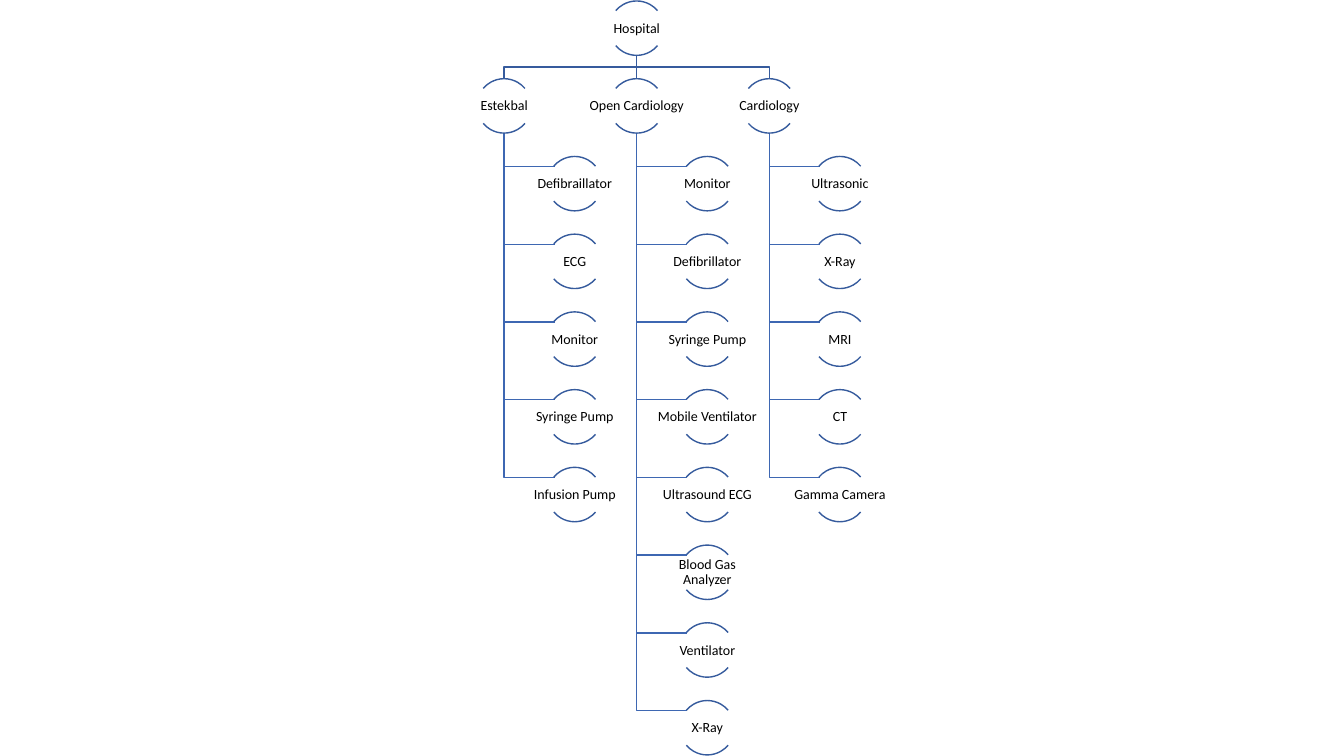
from pptx import Presentation
from pptx.dml.color import RGBColor
from pptx.enum.shapes import MSO_CONNECTOR, MSO_SHAPE
from pptx.enum.text import MSO_ANCHOR, PP_ALIGN
from pptx.oxml import parse_xml
from pptx.oxml.ns import nsdecls
from pptx.util import Inches, Pt

ARC = MSO_SHAPE.ARC
STRAIGHT = MSO_CONNECTOR.STRAIGHT
CENTER = PP_ALIGN.CENTER
MIDDLE = MSO_ANCHOR.MIDDLE

ROOT = "Hospital"
DEPARTMENTS = {
    "Estekbal": ["Defibraillator", "ECG", "Monitor", "Syringe Pump", "Infusion Pump"],
    "Open Cardiology": [
        "Monitor", "Defibrillator", "Syringe Pump", "Mobile Ventilator",
        "Ultrasound ECG", "Blood Gas Analyzer", "Ventilator", "X-Ray",
    ],
    "Cardiology": ["Ultrasonic", "X-Ray", "MRI", "CT", "Gamma Camera"],
}
COLORS = {"arc": "365B9D", "root_link": "365B9D", "item_link": "3E67B2", "text": "000000"}
FONT = "Calibri"

# Lengths in inches
FIRST_TOP, LAST_TOP, ROW_STEPS = 0.01, 6.95, 9
FIRST_COLUMN, LAST_COLUMN = 5, 7.63
CIRCLE = 0.54
LABEL_WIDTH, LABEL_HEIGHT, LABEL_DROP = 1.09, 0.35, 0.1
ITEM_SHIFT, ITEM_LINK = 0.7, 0.5
INSET = 0.01
ARC_DEGREES = [(220, 320), (40, 140)]
ADJUSTMENT_PER_DEGREE = 0.6


def row_top(row):
    """Return the top of a node in the given row."""
    return FIRST_TOP + row * (LAST_TOP - FIRST_TOP) / ROW_STEPS


def column_x(index):
    """Return the centre line of a department column."""
    return FIRST_COLUMN + index * (LAST_COLUMN - FIRST_COLUMN) / (len(DEPARTMENTS) - 1)


def style_line(shape, color):
    """Give a shape or connector a one point line."""
    shape.line.color.rgb = RGBColor.from_string(color)
    shape.line.width = Pt(1)


def add_link(slide, points, color):
    """Draw an open link through the points, straight or bent."""
    points = [(Inches(x), Inches(y)) for x, y in points]
    if len({x for x, _ in points}) == 1:
        link = slide.shapes.add_connector(STRAIGHT, *points[0], *points[-1])
        link._element.spPr.append(parse_xml(f"<a:effectLst {nsdecls('a')}/>"))
    else:
        builder = slide.shapes.build_freeform(*points[0])
        builder.add_line_segments(points[1:], close=False)
        link = builder.convert_to_shape()
        link.shadow.inherit = False
        link.fill.background()
    style_line(link, color)


def add_text(slide, text, left, top, width, height, size=10, color=COLORS["text"]):
    """Add a centred label in a text box."""
    box = slide.shapes.add_textbox(Inches(left), Inches(top), Inches(width), Inches(height))
    frame = box.text_frame
    frame.word_wrap = True
    frame.vertical_anchor = MIDDLE
    frame.margin_left = frame.margin_right = Inches(INSET)
    frame.margin_top = frame.margin_bottom = Inches(INSET)
    paragraph = frame.paragraphs[0]
    paragraph.alignment = CENTER
    paragraph.line_spacing = 0.9
    run = paragraph.add_run()
    run.text = text
    run.font.name = FONT
    run.font.size = Pt(size)
    run.font.color.rgb = RGBColor.from_string(color)


def add_node(slide, text, center, row):
    """Draw a label between an upper and a lower arc."""
    top = row_top(row)
    for degrees in ARC_DEGREES:
        arc = slide.shapes.add_shape(
            ARC, Inches(center - CIRCLE / 2), Inches(top), Inches(CIRCLE), Inches(CIRCLE))
        for index, angle in enumerate(degrees):
            arc.adjustments[index] = angle * ADJUSTMENT_PER_DEGREE
        arc.shadow.inherit = False
        arc.fill.background()
        style_line(arc, COLORS["arc"])
    add_text(slide, text, center - LABEL_WIDTH / 2, top + LABEL_DROP, LABEL_WIDTH, LABEL_HEIGHT)


def add_links(slide, root_x):
    """Link the root to its departments and these to their items."""
    root_bottom = row_top(0) + CIRCLE
    department_top = row_top(1)
    branch_y = (root_bottom + department_top) / 2
    for index, items in enumerate(DEPARTMENTS.values()):
        x = column_x(index)
        for row in range(len(items) + 1, 1, -1):
            y = row_top(row) + LABEL_DROP
            add_link(slide, [(x, department_top + CIRCLE), (x, y), (x + ITEM_LINK, y)],
                     COLORS["item_link"])
        add_link(slide, [(root_x, root_bottom), (root_x, branch_y),
                         (x, branch_y), (x, department_top)], COLORS["root_link"])


def add_nodes(slide, root_x):
    """Draw the root, the departments and their items."""
    add_node(slide, ROOT, root_x, 0)
    for index, (department, items) in enumerate(DEPARTMENTS.items()):
        x = column_x(index)
        add_node(slide, department, x, 1)
        for row, item in enumerate(items, start=2):
            add_node(slide, item, x + ITEM_SHIFT, row)


presentation = Presentation()
presentation.slide_width = Inches(13.33)
presentation.slide_height = Inches(7.5)
slide = presentation.slides.add_slide(presentation.slide_layouts[6])
hospital_x = (FIRST_COLUMN + LAST_COLUMN) / 2
add_links(slide, hospital_x)
add_nodes(slide, hospital_x)
presentation.save("out.pptx")
